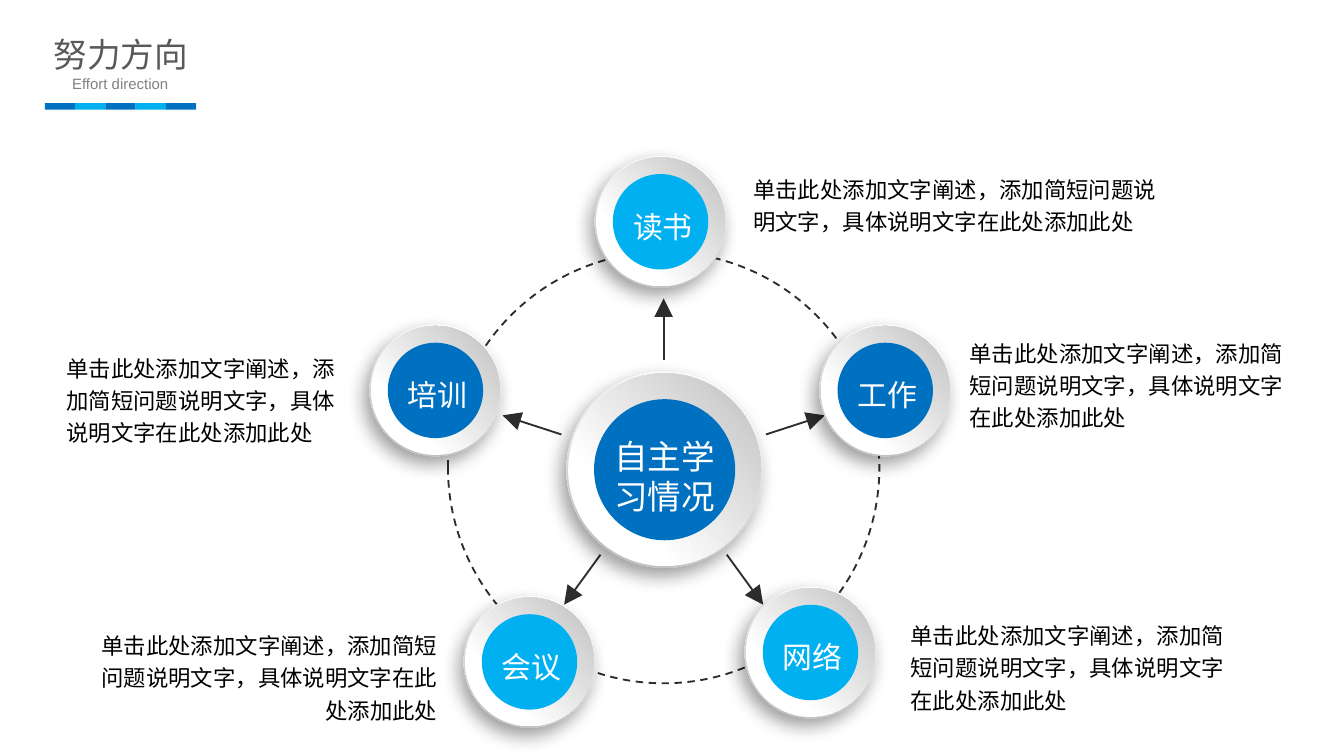
"""Build the effort direction slide: a hub, five topics around it and their descriptions."""
import math

import lxml.etree
import pptx
import pptx.dml.color
import pptx.enum.dml
import pptx.enum.shapes
import pptx.enum.text
import pptx.oxml.ns
import pptx.util

COLORS = {
    "blue": "0070C0",
    "sky": "00B0F0",
    "ink": "2E2C2C",
    "black": "000000",
    "white": "FFFFFF",
    "silver": "B8B8B8",
    "rim": "BFBFBF",
    "heading": "595959",
    "caption": "808080",
}
RGB = {name: pptx.dml.color.RGBColor.from_string(code) for name, code in COLORS.items()}
ALIGN = pptx.enum.text.PP_ALIGN
SHAPE = pptx.enum.shapes.MSO_SHAPE
qn = pptx.oxml.ns.qn

deck = pptx.Presentation()
deck.slide_width = pptx.util.Inches(10)
deck.slide_height = deck.slide_width * 9 // 16
column = deck.slide_width / 100
row = deck.slide_height / 56.25
slide = deck.slides.add_slide(deck.slide_layouts[5])


def write(text, left, top, width, height, holder=None, size=12, color="black",
          align=ALIGN.LEFT, spacing=1.0, wrap=True, inset=(0.07, 0.04)):
    holder = holder or slide.shapes.add_textbox(0, 0, 0, 0)
    holder.left, holder.width = int(left * column), int(width * column)
    holder.top, holder.height = int(top * row), int(height * row)
    frame = holder.text_frame
    frame.text = text
    frame.word_wrap = wrap
    frame.auto_size = pptx.enum.text.MSO_AUTO_SIZE.SHAPE_TO_FIT_TEXT
    frame.vertical_anchor = pptx.enum.text.MSO_ANCHOR.TOP
    frame.margin_left = frame.margin_right = pptx.util.Inches(inset[0])
    frame.margin_top = frame.margin_bottom = pptx.util.Inches(inset[1])
    paragraph = frame.paragraphs[0]
    paragraph.alignment = align
    paragraph.line_spacing = spacing
    font = paragraph.runs[0].font
    font.name, font.size = "Arial", pptx.util.Pt(size)
    font.color.rgb = RGB[color]


def draw(kind, left, top, width, height, color=None):
    shape = slide.shapes.add_shape(
        kind, int(left * column), int(top * row), int(width * column), int(height * row))
    shape.shadow.inherit = False
    shape.line.fill.background()
    if color:
        shape.fill.solid()
        shape.fill.fore_color.rgb = RGB[color]
    else:
        shape.fill.background()
    return shape


center_x, center_y, orbit = 49.38, 34.8, 16.05
ring = draw(SHAPE.OVAL, center_x - orbit, center_y - orbit, 2 * orbit, 2 * orbit)
ring.line.color.rgb = RGB["ink"]
ring.line.width = pptx.util.Pt(1)
ring.line.dash_style = pptx.enum.dml.MSO_LINE.DASH

for step in range(5):
    angle = math.radians(72 * step - 90)
    (start_x, start_y), (end_x, end_y) = [
        (int((center_x + reach * math.cos(angle)) * column),
         int((center_y + reach * math.sin(angle)) * row))
        for reach in (8, 12.6)]
    arrow = slide.shapes.add_connector(
        pptx.enum.shapes.MSO_CONNECTOR.STRAIGHT, start_x, start_y, end_x, end_y)
    arrow.line.color.rgb = RGB["ink"]
    arrow.line.width = pptx.util.Pt(1)
    properties = arrow._element.spPr
    lxml.etree.SubElement(properties.find(qn("a:ln")), qn("a:tailEnd"),
                          type="triangle", w="lg", len="lg")
    lxml.etree.SubElement(properties, qn("a:effectLst"))

description = "单击此处添加文字阐述，添加简短问题说明文字，具体说明文字在此处添加此处"
for left, top, width, height, align in [
    (55.35, 12.3, 31.7, 5.6, ALIGN.LEFT),
    (71.45, 24.5, 25.3, 8, ALIGN.LEFT),
    (67.05, 45.5, 25.6, 8, ALIGN.LEFT),
    (4.25, 25.6, 22.4, 8, ALIGN.LEFT),
    (5.55, 46.25, 27.7, 8, ALIGN.RIGHT),
]:
    write(description, left, top, width, height, align=align, spacing=1.2)

topic_sizes = (9.8, 9.6, 7.1)
topic_label = (-2.75, -1.4, 6.5, 3.5, 16)
hub_sizes = (14.6, 14.35, 10.5)
hub_label = (-4.45, -2.95, 9.6, 6.8, 18)
for name, x, y, color, sizes, label in [
    ("培训", 32.4, 29.05, "blue", topic_sizes, topic_label),
    ("读书", 49.15, 16.5, "sky", topic_sizes, topic_label),
    ("工作", 65.87, 29.05, "blue", topic_sizes, topic_label),
    ("网络", 60.3, 48.55, "sky", topic_sizes, topic_label),
    ("会议", 39.4, 49.25, "sky", topic_sizes, topic_label),
    ("自主学习情况", 49.45, 34.95, "blue", hub_sizes, hub_label),
]:
    base_size, rim_size, core_size = sizes
    for size, turn, stops, shaded in [
        (base_size, 62.3, ((0.17, "white"), (0.88, "silver")), True),
        (rim_size, 273, ((0.29, "white"), (0.98, "rim")), False),
    ]:
        disc = draw(SHAPE.OVAL, x - size / 2, y - size / 2, size, size)
        disc.rotation = turn
        disc.fill.gradient()
        disc.fill.gradient_angle = 315
        for stop, (position, tone) in zip(disc.fill.gradient_stops, stops):
            stop.position = position
            stop.color.rgb = RGB[tone]
        if shaded:
            shadow = lxml.etree.SubElement(
                disc._element.spPr.find(qn("a:effectLst")), qn("a:outerShdw"),
                blurRad=str(pptx.util.Pt(10)), dist=str(pptx.util.Pt(5)),
                dir=str(123 * 60000), algn="ctr", rotWithShape="0")
            tint = lxml.etree.SubElement(shadow, qn("a:srgbClr"), val=COLORS["black"])
            lxml.etree.SubElement(tint, qn("a:alpha"), val="39000")
    draw(SHAPE.OVAL, x - core_size / 2, y - core_size / 2, core_size, core_size, color)
    shift_x, shift_y, width, height, points = label
    write(name, x + shift_x, y + shift_y, width, height, size=points, color="white")

write("努力方向", 3.2, 2.1, 11.6, 3.8, holder=slide.shapes.title, size=18,
      color="heading", align=ALIGN.CENTER, wrap=False)
write("Effort direction", 2, 5.05, 13.9, 2.4, size=8, color="caption",
      align=ALIGN.CENTER, inset=(0.1, 0.05))
for index in range(5):
    draw(SHAPE.RECTANGLE, 3.35 + 2.25 * index, 7.67, 2.25, 0.5, ("blue", "sky")[index % 2])

deck.save("out.pptx")
